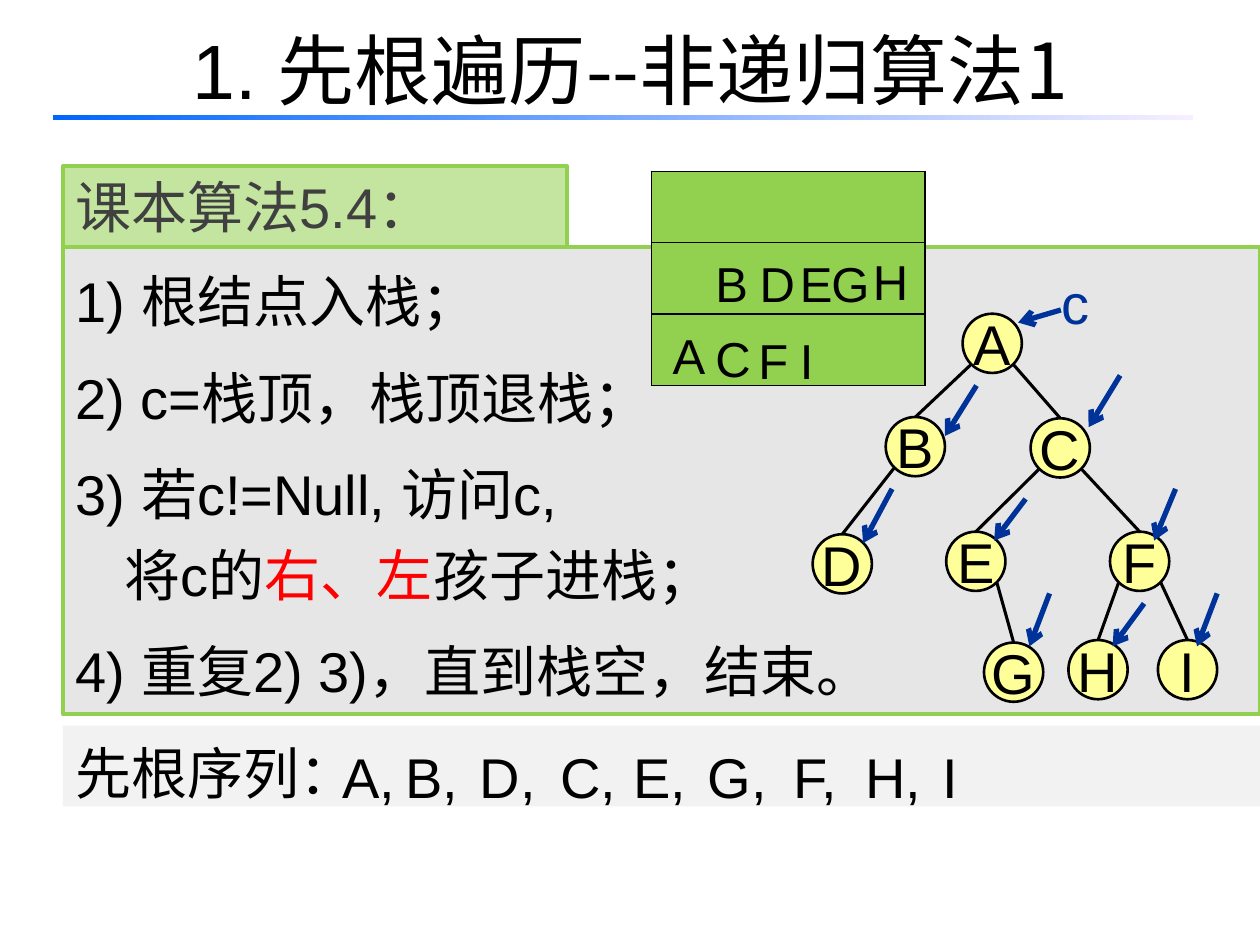
from dataclasses import dataclass
from math import sqrt

from lxml import etree
from pptx import Presentation
from pptx.dml.color import RGBColor
from pptx.enum.shapes import MSO_CONNECTOR, MSO_SHAPE
from pptx.enum.text import MSO_ANCHOR, MSO_AUTO_SIZE, PP_ALIGN
from pptx.oxml.ns import qn
from pptx.util import Inches, Pt

RECTANGLE, OVAL = MSO_SHAPE.RECTANGLE, MSO_SHAPE.OVAL
STRAIGHT = MSO_CONNECTOR.STRAIGHT
LEFT, CENTER = PP_ALIGN.LEFT, PP_ALIGN.CENTER
TOP, MIDDLE = MSO_ANCHOR.TOP, MSO_ANCHOR.MIDDLE
NO_FIT, GROW = MSO_AUTO_SIZE.NONE, MSO_AUTO_SIZE.SHAPE_TO_FIT_TEXT


@dataclass(frozen=True)
class Theme:
    latin: str = "Arial"
    chinese: str = "Noto Sans CJK SC"
    title_size: int = 44
    text_size: int = 32
    stack_size: int = 28
    black: str = "000000"
    heading: str = "404040"
    red: str = "FF0000"
    pointer: str = "003399"
    green: str = "92D050"
    light_green: str = "C4E59F"
    panel: str = "E6E6E6"
    strip: str = "F2F2F2"
    node: str = "FFFF99"
    rule_start: str = "0066FF"
    rule_end: str = "F7EFFF"


THEME = Theme()
NODE_SIZE = 0.47
NODES = {
    "A": (7.64, 2.49), "B": (7.03, 3.31), "C": (8.18, 3.32),
    "D": (6.45, 4.24), "E": (7.51, 4.22), "F": (8.81, 4.22),
    "G": (7.81, 5.1), "H": (8.48, 5.08), "I": (9.19, 5.08),
}
LEFT_CHILDREN = ["AB", "BD", "CE", "FH"]
RIGHT_CHILDREN = ["AC", "CF", "EG", "FI"]
POINTERS = [
    ((8.42, 2.46), (8.08, 2.56)), ((7.75, 3.06), (7.5, 3.46)),
    ((7.08, 3.88), (6.85, 4.31)), ((8.89, 2.98), (8.64, 3.39)),
    ((8.14, 3.96), (7.89, 4.29)), ((8.33, 4.71), (8.17, 5.13)),
    ((9.08, 4.79), (8.83, 5.13)), ((9.66, 4.71), (9.5, 5.13)),
    ((9.33, 3.88), (9.16, 4.29)),
]
STACK_LETTERS = [
    ("A", 5.24, 2.42, 0.46, 0.63), ("C", 5.58, 2.44, 0.49, 0.69),
    ("F", 5.92, 2.46, 0.44, 0.63), ("I", 6.25, 2.46, 0.31, 0.63),
    ("B", 5.58, 1.85, 0.46, 0.69), ("D", 5.93, 1.85, 0.49, 0.69),
    ("E", 6.25, 1.85, 0.46, 0.69), ("G", 6.5, 1.85, 0.51, 0.69),
    ("H", 6.83, 1.83, 0.49, 0.63),
]
SEQUENCE = [
    ("A,", 2.62, 0.78), ("B,", 3.12, 0.75), ("D,", 3.71, 0.78),
    ("C,", 4.35, 0.78), ("E,", 4.93, 0.78), ("G,", 5.52, 0.8),
    ("F,", 6.2, 0.67), ("H,", 6.77, 0.78), ("I", 7.38, 0.45),
]


def color(value):
    return RGBColor.from_string(value)


def add_run(paragraph, text, size=THEME.text_size, ink=THEME.black, latin=THEME.latin):
    run = paragraph.add_run()
    run.text = text
    run.font.size = Pt(size)
    run.font.name = latin
    run.font.color.rgb = color(ink)
    east_asian = etree.Element(qn("a:ea"), typeface=THEME.chinese)
    run.font._element.find(qn("a:latin")).addnext(east_asian)


def set_frame(shape, anchor=TOP, wrap=True, fit=NO_FIT):
    frame = shape.text_frame
    frame.word_wrap = wrap
    frame.auto_size = fit
    frame.vertical_anchor = anchor
    return frame


def place(shape, left, top, width, height):
    shape.left, shape.top = Inches(left), Inches(top)
    shape.width, shape.height = Inches(width), Inches(height)


def paint(shape, fill, line=None, line_width=2.25):
    shape.fill.solid()
    shape.fill.fore_color.rgb = color(fill)
    if line:
        shape.line.color.rgb = color(line)
        shape.line.width = Pt(line_width)
    else:
        shape.line.fill.background()


def add_shape(slide, kind, left, top, width, height):
    shape = slide.shapes.add_shape(
        kind, Inches(left), Inches(top), Inches(width), Inches(height))
    shape.shadow.inherit = False
    return shape


def add_banner(slide, box, text, ink, fill, line=None, spacing=1.0):
    banner = add_shape(slide, RECTANGLE, *box)
    paint(banner, fill, line)
    paragraph = set_frame(banner).paragraphs[0]
    paragraph.alignment = LEFT
    paragraph.line_spacing = spacing
    add_run(paragraph, text, ink=ink)


def add_label(slide, text, box, size=THEME.text_size, ink=THEME.black,
              spacing=1.25, alignment=LEFT, wrap=False):
    label = slide.shapes.add_textbox(*map(Inches, box))
    paragraph = set_frame(label, wrap=wrap, fit=GROW).paragraphs[0]
    paragraph.alignment = alignment
    paragraph.line_spacing = spacing
    add_run(paragraph, text, size, ink)


def add_line(slide, start, end, ink=THEME.black, width=1.75, arrow=False):
    connector = slide.shapes.add_connector(STRAIGHT, *map(Inches, (*start, *end)))
    connector.line.color.rgb = color(ink)
    connector.line.width = Pt(width)
    if arrow:
        etree.SubElement(connector.line._get_or_add_ln(), qn("a:tailEnd"), type="arrow")
    etree.SubElement(connector._element.spPr, qn("a:effectLst"))


def fill_title(title):
    place(title, 0.5, -0.08, 9, 1.25)
    paragraph = set_frame(title, MIDDLE).paragraphs[0]
    paragraph.alignment = CENTER
    add_run(paragraph, "1. ", THEME.title_size)
    add_run(paragraph, "先根遍历--非递归算法1", THEME.title_size, latin=THEME.chinese)


def add_title_rule(slide):
    rule = add_shape(slide, RECTANGLE, 0.42, 0.91, 9.05, 0.04)
    rule.line.fill.background()
    rule.fill.gradient()
    rule.fill.gradient_angle = 0
    for stop, value in zip(rule.fill.gradient_stops, (THEME.rule_start, THEME.rule_end)):
        stop.color.rgb = color(value)


def fill_steps(body):
    """Each step is its runs, left indent, first-line indent and space before."""
    place(body, 0.5, 1.96, 9.5, 3.71)
    paint(body, THEME.panel, THEME.green)
    black, red = THEME.black, THEME.red
    steps = [
        ([("1) 根结点入栈；", black)], 0.56, -0.56, 0),
        ([("2) c=栈顶，栈顶退栈；", black)], 0.56, -0.56, 9),
        ([("3) 若c!=Null, 访问c,", black)], 0.56, -0.56, 9),
        ([("将c的", black), ("右、左", red), ("孩子进栈；", black)], 0.39, 0, 0),
        ([("4) 重复2) 3)，直到栈空，结束。", black)], 0.56, -0.56, 9),
    ]
    frame = set_frame(body)
    for index, (runs, margin, indent, before) in enumerate(steps):
        paragraph = frame.add_paragraph() if index else frame.paragraphs[0]
        properties = paragraph._p.get_or_add_pPr()
        properties.set("marL", str(Inches(margin)))
        properties.set("indent", str(Inches(indent)))
        etree.SubElement(properties, qn("a:buNone"))
        paragraph.line_spacing = 1.2
        paragraph.space_before = Pt(before)
        for text, ink in runs:
            add_run(paragraph, text, ink=ink)


def add_border(cell, side):
    line = etree.SubElement(cell._tc.get_or_add_tcPr(), qn(f"a:{side}"), w=str(Pt(1)))
    fill = etree.SubElement(line, qn("a:solidFill"))
    etree.SubElement(fill, qn("a:srgbClr"), val=THEME.black)


def add_stack(slide):
    table = slide.shapes.add_table(
        3, 1, Inches(5.17), Inches(1.36), Inches(2.17), Inches(1.7)).table
    table.first_row = table.horz_banding = False
    for cell in table.iter_cells():
        for side in ("lnL", "lnR", "lnT", "lnB"):
            add_border(cell, side)
        cell.fill.solid()
        cell.fill.fore_color.rgb = color(THEME.green)
    for letter, *box in STACK_LETTERS:
        add_label(slide, letter, box, THEME.stack_size)


def add_edge(slide, parent, child, direction):
    """Join the parent's lower diagonal point to the child's top."""
    radius = NODE_SIZE / 2
    reach = radius / sqrt(2)
    parent_left, parent_top = NODES[parent]
    child_left, child_top = NODES[child]
    start = (parent_left + radius + direction * reach, parent_top + radius + reach)
    add_line(slide, start, (child_left + radius, child_top))


def add_node(slide, letter, left, top):
    node = add_shape(slide, OVAL, left, top, NODE_SIZE, NODE_SIZE)
    paint(node, THEME.node, THEME.black, 1.5)
    paragraph = set_frame(node, MIDDLE, wrap=False).paragraphs[0]
    paragraph.alignment = CENTER
    add_run(paragraph, letter)


def add_tree(slide):
    for direction, pairs in ((-1, LEFT_CHILDREN), (1, RIGHT_CHILDREN)):
        for parent, child in pairs:
            add_edge(slide, parent, child, direction)
    for letter, position in NODES.items():
        add_node(slide, letter, *position)
    for start, end in POINTERS:
        add_line(slide, start, end, THEME.pointer, 3, arrow=True)
    add_label(slide, "c", (8.17, 2.23, 0.73, 0.49), ink=THEME.pointer,
              spacing=0.7, alignment=CENTER, wrap=True)


def main():
    presentation = Presentation()
    presentation.slide_width, presentation.slide_height = Inches(10), Inches(7.5)
    slide = presentation.slides.add_slide(presentation.slide_layouts[1])
    fill_title(slide.shapes.title)
    fill_steps(slide.placeholders[1])
    add_title_rule(slide)
    add_banner(slide, (0.5, 5.76, 9.5, 0.64), "先根序列：", THEME.black,
               THEME.strip, spacing=1.1)
    add_banner(slide, (0.5, 1.32, 4, 0.64), "课本算法5.4：", THEME.heading,
               THEME.light_green, THEME.green)
    add_stack(slide)
    add_tree(slide)
    for text, left, width in SEQUENCE:
        add_label(slide, text, (left, 5.71, width, 0.71))
    presentation.save("out.pptx")


if __name__ == "__main__":
    main()
